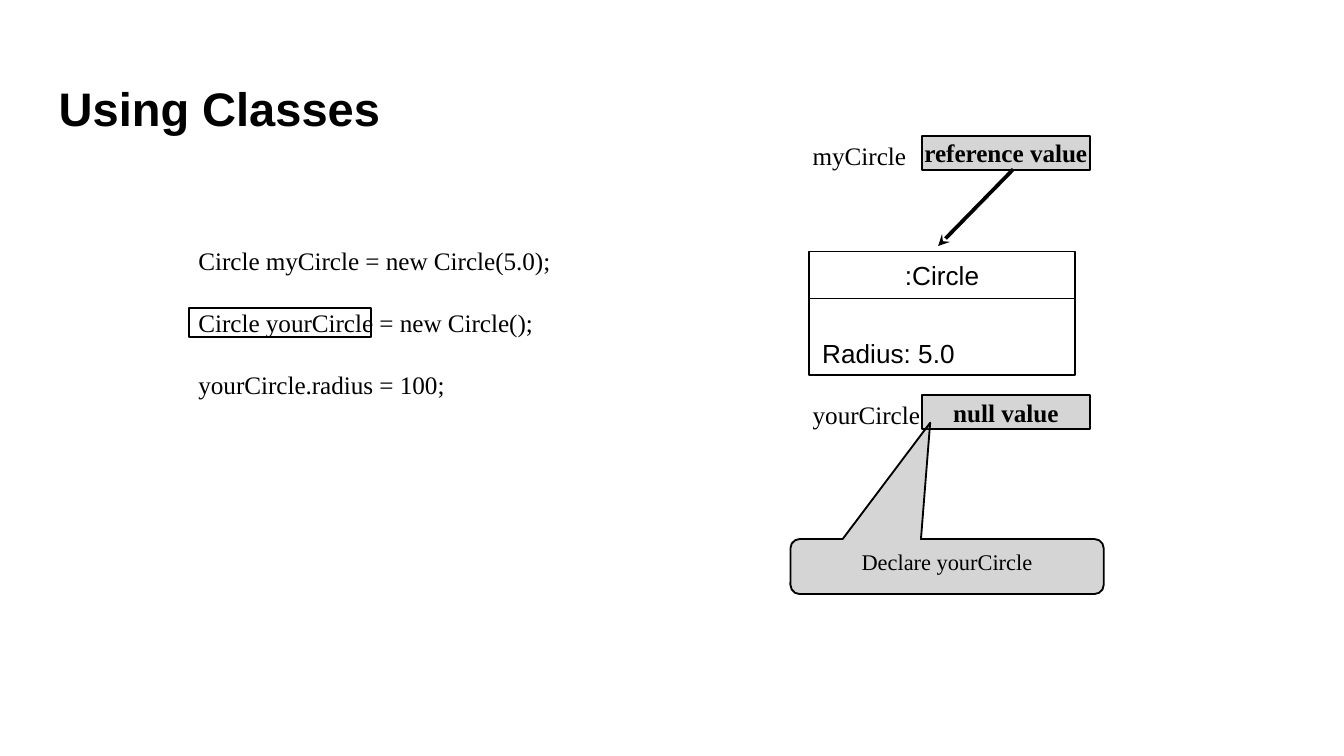
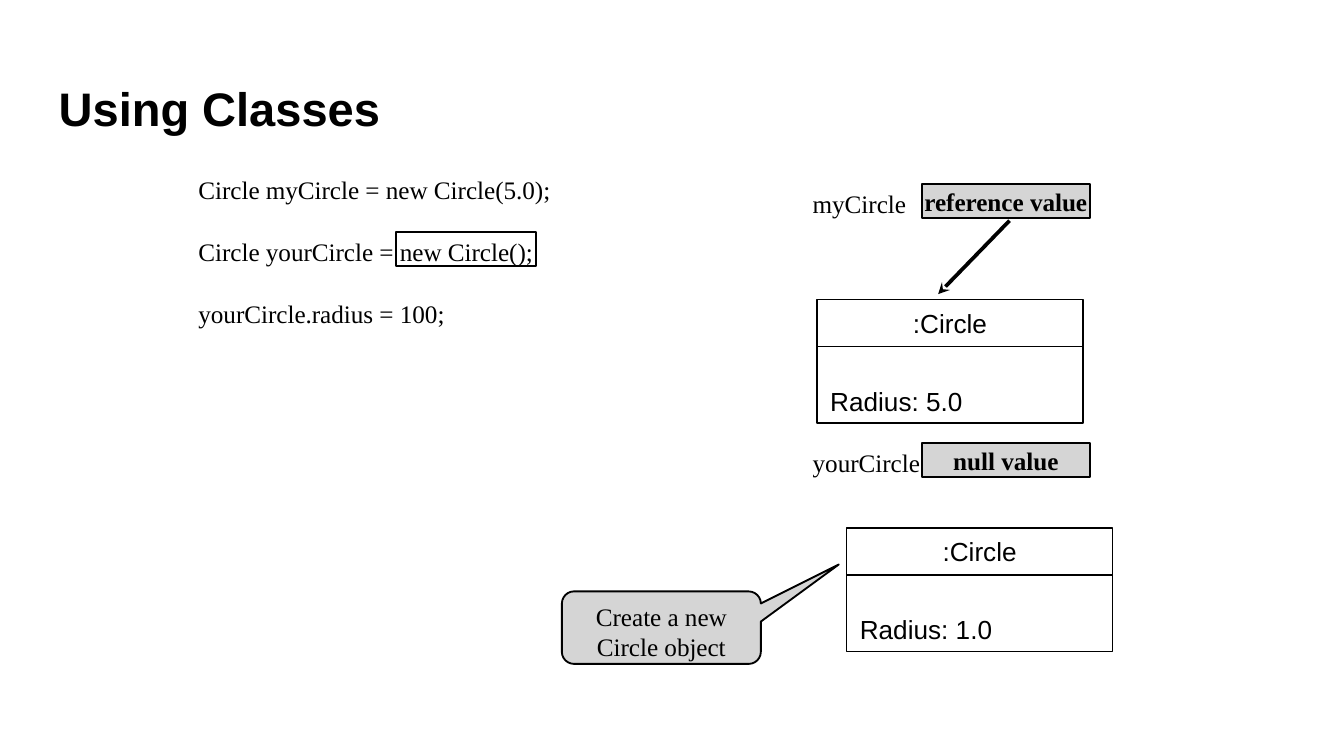
from pptx import Presentation
from pptx.dml.color import RGBColor
from pptx.enum.shapes import MSO_CONNECTOR, MSO_SHAPE
from pptx.enum.text import MSO_ANCHOR, PP_ALIGN
from pptx.oxml.ns import qn
from pptx.util import Cm, Pt
from lxml.etree import SubElement

# Content; places are in centimetres
TITLE = "Using Classes"
CODE = [
    "Circle myCircle = new Circle(5.0);",
    "Circle yourCircle = new Circle();",
    "yourCircle.radius = 100;",
]
VARIABLES = [("myCircle", "reference value"), ("yourCircle", "null value")]
SLIDES = [
    {
        "code_top": 4.52,
        "variables_top": 2.57,
        "highlight": (3.58, 5.82, 3.43, 0.56),
        "arrow": (19.15, 3.2, 17.73, 4.65),
        "objects": [("Radius: 5.0", 15.29, 4.75)],
        "callout": ("Declare yourCircle", 12, (14.94, 10.19, 5.92, 1.04),
                    (-0.054, -2.614, 0.167)),
    },
    {
        "code_top": 3.18,
        "variables_top": 3.48,
        "highlight": (7.49, 4.39, 2.64, 0.64),
        "arrow": (19.08, 4.17, 17.73, 5.56),
        "objects": [("Radius: 5.0", 15.44, 5.66), ("Radius: 1.0", 16, 9.98)],
        "callout": ("Create a new Circle object", 13.5, (10.62, 11.18, 3.76, 1.37),
                    (0.892, -0.872, 0.167)),
    },
]

# Shared style
BLACK = RGBColor(0x00, 0x00, 0x00)
GREY = RGBColor(0x59, 0x59, 0x59)
GREY_OPACITY = 25
SANS, SERIF = "Arial", "Times New Roman"
TITLE_PLACE = (0.86, 1.24, 23.67, 1.6)
VARIABLE_PITCH = 4.9
HEAD_HEIGHT, BODY_HEIGHT, OBJECT_WIDTH = 0.89, 1.45, 5.03


def write(shape, lines, size, font=SERIF, bold=False, align=PP_ALIGN.LEFT,
          anchor=MSO_ANCHOR.TOP, gap=0):
    frame = shape.text_frame
    frame.word_wrap = True
    frame.vertical_anchor = anchor
    for index, line in enumerate(lines):
        para = frame.paragraphs[0] if index == 0 else frame.add_paragraph()
        para.alignment = align
        if index:
            para.space_before = Pt(gap)
        span = para.add_run()
        span.text = line
        span.font.name = font
        span.font.size = Pt(size)
        span.font.bold = bold
        span.font.color.rgb = BLACK
    return frame


def add_text(page, place, lines, size, **style):
    box = page.shapes.add_textbox(*map(Cm, place))
    return write(box, lines, size, **style)


def add_outline(page, place, kind=MSO_SHAPE.RECTANGLE, width=1, shaded=False):
    shape = page.shapes.add_shape(kind, *map(Cm, place))
    shape.shadow.inherit = False
    shape.line.color.rgb = BLACK
    shape.line.width = Pt(width)
    if shaded:
        shape.fill.solid()
        shape.fill.fore_color.rgb = GREY
        colour = shape.fill._xPr.find(qn("a:solidFill"))[0]
        SubElement(colour, qn("a:alpha"), val=str(GREY_OPACITY * 1000))
    else:
        shape.fill.background()
    return shape


def add_variable(page, name, value, top):
    box = add_outline(page, (17.42, top, 3.18, 0.64), shaded=True)
    frame = write(box, [value], 13.5, bold=True, align=PP_ALIGN.CENTER,
                  anchor=MSO_ANCHOR.MIDDLE)
    frame.word_wrap = False
    frame.margin_left = frame.margin_right = Cm(0.03)
    frame.margin_top = frame.margin_bottom = Cm(0.03)
    add_text(page, (15.11, top - 0.05, 2.57, 0.84), [name], 13.5)


def add_arrow(page, ends):
    arrow = page.shapes.add_connector(MSO_CONNECTOR.STRAIGHT, *map(Cm, ends))
    arrow.line.color.rgb = BLACK
    arrow.line.width = Pt(2)
    properties = arrow._element.spPr
    SubElement(properties.find(qn("a:ln")), qn("a:tailEnd"), type="stealth")
    SubElement(properties, qn("a:effectLst"))


def add_object(page, field, left, top):
    head = add_outline(page, (left, top, OBJECT_WIDTH, HEAD_HEIGHT), width=0.75)
    write(head, [":Circle"], 14, font=SANS, align=PP_ALIGN.CENTER,
          anchor=MSO_ANCHOR.MIDDLE)
    body = add_outline(page, (left, top + HEAD_HEIGHT, OBJECT_WIDTH, BODY_HEIGHT),
                       width=0.75)
    write(body, [field], 14, font=SANS, anchor=MSO_ANCHOR.BOTTOM)


def add_callout(page, text, size, place, adjustments):
    callout = add_outline(page, place, MSO_SHAPE.ROUNDED_RECTANGULAR_CALLOUT,
                          shaded=True)
    for index, value in enumerate(adjustments):
        callout.adjustments[index] = value
    write(callout, [text], size, align=PP_ALIGN.CENTER)


def build_page(deck, content):
    page = deck.slides.add_slide(deck.slide_layouts[6])
    # Title and code
    add_text(page, TITLE_PLACE, [TITLE], 25.2, font=SANS, bold=True,
             anchor=MSO_ANCHOR.MIDDLE)
    add_text(page, (3.5, content["code_top"], 10, 3.15), CODE, 13.5, gap=17)
    # Variables and the objects they refer to
    for row, (name, value) in enumerate(VARIABLES):
        add_variable(page, name, value,
                     content["variables_top"] + row * VARIABLE_PITCH)
    add_arrow(page, content["arrow"])
    # Current step
    add_outline(page, content["highlight"])
    add_callout(page, *content["callout"])
    for item in content["objects"]:
        add_object(page, *item)


def main():
    deck = Presentation()
    deck.slide_width, deck.slide_height = Cm(25.4), Cm(14.29)
    for content in SLIDES:
        build_page(deck, content)
    deck.save("out.pptx")


if __name__ == "__main__":
    main()
